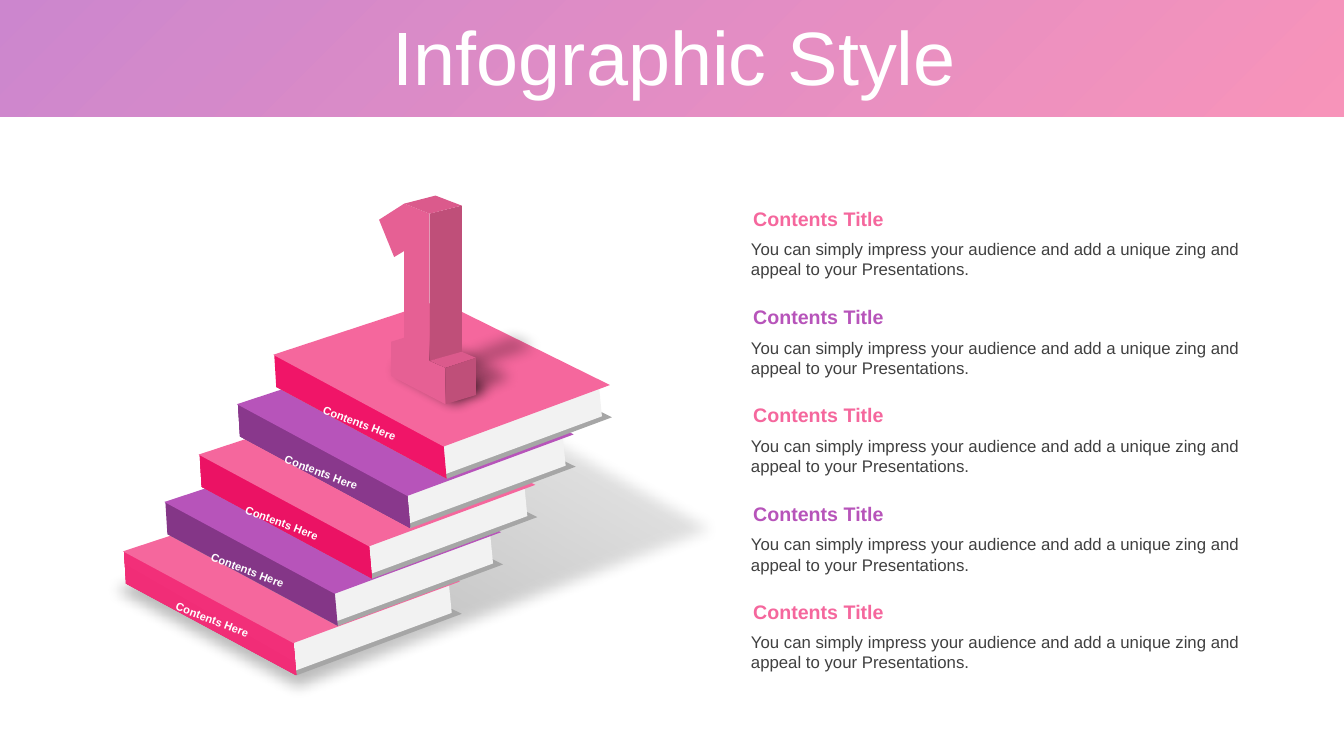
"""Build the Infographic Style slide: a stack of five books beside five text blocks."""
from lxml import etree
from pptx import Presentation
from pptx.dml.color import RGBColor
from pptx.enum.shapes import MSO_SHAPE
from pptx.enum.text import MSO_ANCHOR, MSO_AUTO_SIZE, PP_ALIGN
from pptx.oxml import parse_xml
from pptx.oxml.ns import nsdecls, qn
from pptx.util import Pt

PX = 9144
RECTANGLE = MSO_SHAPE.RECTANGLE
MIDDLE = MSO_ANCHOR.MIDDLE
NO_FIT, GROW = MSO_AUTO_SIZE.NONE, MSO_AUTO_SIZE.SHAPE_TO_FIT_TEXT
LEFT, CENTER = PP_ALIGN.LEFT, PP_ALIGN.CENTER
COLORS = {
    "pink": "F5679D", "purple": "B754BA", "white": "FFFFFF", "text": "404040",
    "black": "000000", "under": "A6A6A6", "pages": "F2F2F2",
    "crimson": "F01568", "crimson dark": "E50F60",
    "rose": "F12673", "rose light": "F2367D",
    "plum": "843687", "plum light": "8E3A90",
    "digit front": "E66094", "digit side": "BF4F79", "digit top": "DB5A8C",
}

prs = Presentation()
prs.slide_width, prs.slide_height = 1333 * PX, 750 * PX
s = prs.slides.add_slide(prs.slide_layouts[5])


def paint(sp, stops, angle=0, soft=0):
    sp.shadow.inherit = False
    sp.line.fill.background()
    sp.fill.background()
    spPr = sp._element.spPr
    colors = [f'<a:srgbClr val="{COLORS[name]}"><a:alpha val="{alpha * 1000}"/></a:srgbClr>'
              for name, alpha in stops]
    if len(colors) == 1:
        xml = f'<a:solidFill {nsdecls("a")}>{colors[0]}</a:solidFill>'
    else:
        xml = (f'<a:gradFill {nsdecls("a")} rotWithShape="1"><a:gsLst>'
               f'<a:gs pos="0">{colors[0]}</a:gs><a:gs pos="100000">{colors[1]}</a:gs>'
               f'</a:gsLst><a:lin ang="{angle * 60000}" scaled="0"/></a:gradFill>')
    spPr.replace(spPr.find(qn("a:noFill")), parse_xml(xml))
    if soft:
        etree.SubElement(spPr.find(qn("a:effectLst")), qn("a:softEdge"), rad=str(Pt(soft)))


def write(sp, text, size, color, bold=False, align=LEFT, fit=GROW):
    tf = sp.text_frame
    tf.word_wrap = True
    tf.auto_size = fit
    tf.text = text
    p = tf.paragraphs[0]
    p.alignment = align
    p.font.name, p.font.size, p.font.bold = "Arial", Pt(size), bold
    p.font.color.rgb = RGBColor.from_string(COLORS[color])
    return tf


header = s.shapes.add_shape(RECTANGLE, 0, 0, 1333 * PX, 116 * PX)
paint(header, [("pink", 70), ("purple", 70)], 225)
title = s.shapes.title
header._element.addnext(title._element)
title.left, title.top, title.width, title.height = 36 * PX, 21 * PX, 1266 * PX, 79 * PX
tf = write(title, "Infographic Style", 54, "white", align=CENTER, fit=NO_FIT)
tf.vertical_anchor = MIDDLE
tf.paragraphs[0].line_spacing = 0.9

ground = [(87, 590), (293, 700), (746, 527), (538, 411), (91, 575)]
outlines = [(ground, [("black", 7), ("black", 33)], 120, 10)]

under = [(125, 579), (289, 525), (458, 609), (294, 670)]
pages = [(445, 577), (448, 608), (291, 666), (289, 635)]
spine = [(123, 547), (125, 579), (294, 670), (291, 636)]
cover = [(122, 547), (286, 493), (456, 577), (291, 638)]
books = [
    (0, 0, 109, "pink", ["rose", "rose light"]),
    (41, -49, 144, "purple", ["plum"]),
    (75, -96, 178, "pink", ["crimson", "crimson dark"]),
    (113, -146, 217, "purple", ["plum", "plum light"]),
    (149, -195, 255, "pink", ["crimson"]),
]
for dx, dy, _, cover_color, spine_colors in books:
    for face, names in ((under, ["under"]), (pages, ["pages"]),
                        (spine, spine_colors), (cover, [cover_color])):
        points = [(x + dx, y + dy) for x, y in face]
        outlines.append((points, [(name, 100) for name in names], 300, 0))

digit_shadows = [
    ([(349, 365), (421, 336), (525, 385), (450, 420)], 80, 10),
    ([(359, 351), (436, 321), (549, 373), (468, 411)], 35, 10),
    ([(382, 364), (403, 355), (511, 315), (576, 346), (443, 393)], 27, 10),
]
for points, alpha, soft in digit_shadows:
    outlines.append((points, [("black", alpha)], 0, soft))

digit_faces = [
    ([(376, 218), (401, 202), (426, 212), (426, 358), (442, 365), (442, 401),
      (388, 373), (388, 339), (401, 335), (401, 249), (391, 255)], "digit front"),
    ([(426, 212), (458, 204), (458, 350), (426, 358)], "digit side"),
    ([(401, 202), (432, 194), (458, 204), (426, 212)], "digit top"),
    ([(426, 358), (458, 349), (472, 355), (442, 365)], "digit top"),
    ([(442, 365), (472, 355), (472, 392), (442, 401)], "digit side"),
]
for points, color in digit_faces:
    outlines.append((points, [(color, 100)], 0, 0))

for points, stops, angle, soft in outlines:
    builder = s.shapes.build_freeform(*points[0], scale=PX)
    builder.add_line_segments(points[1:], close=True)
    paint(builder.convert_to_shape(), stops, angle, soft)

for _, dy, label_left, *_ in books:
    label = s.shapes.add_textbox(label_left * PX, (603 + dy) * PX, 203 * PX, 24 * PX)
    label.rotation = 21
    write(label, "Contents Here", 8, "white", bold=True, align=CENTER)

for i in range(5):
    top = 200 + (195 * i + 1) // 2
    body = s.shapes.add_textbox(735 * PX, (top + 32) * PX, 506 * PX, 50 * PX)
    write(body, "You can simply impress your audience and add a unique zing and "
                "appeal to your Presentations.", 12, "text")
    heading = s.shapes.add_textbox(735 * PX, top * PX, 506 * PX, 32 * PX)
    tf = write(heading, "Contents Title", 14, ("pink", "purple")[i % 2], bold=True)
    tf.margin_left = tf.margin_right = 12 * PX
    tf.margin_bottom = 2 * PX

prs.save("out.pptx")
